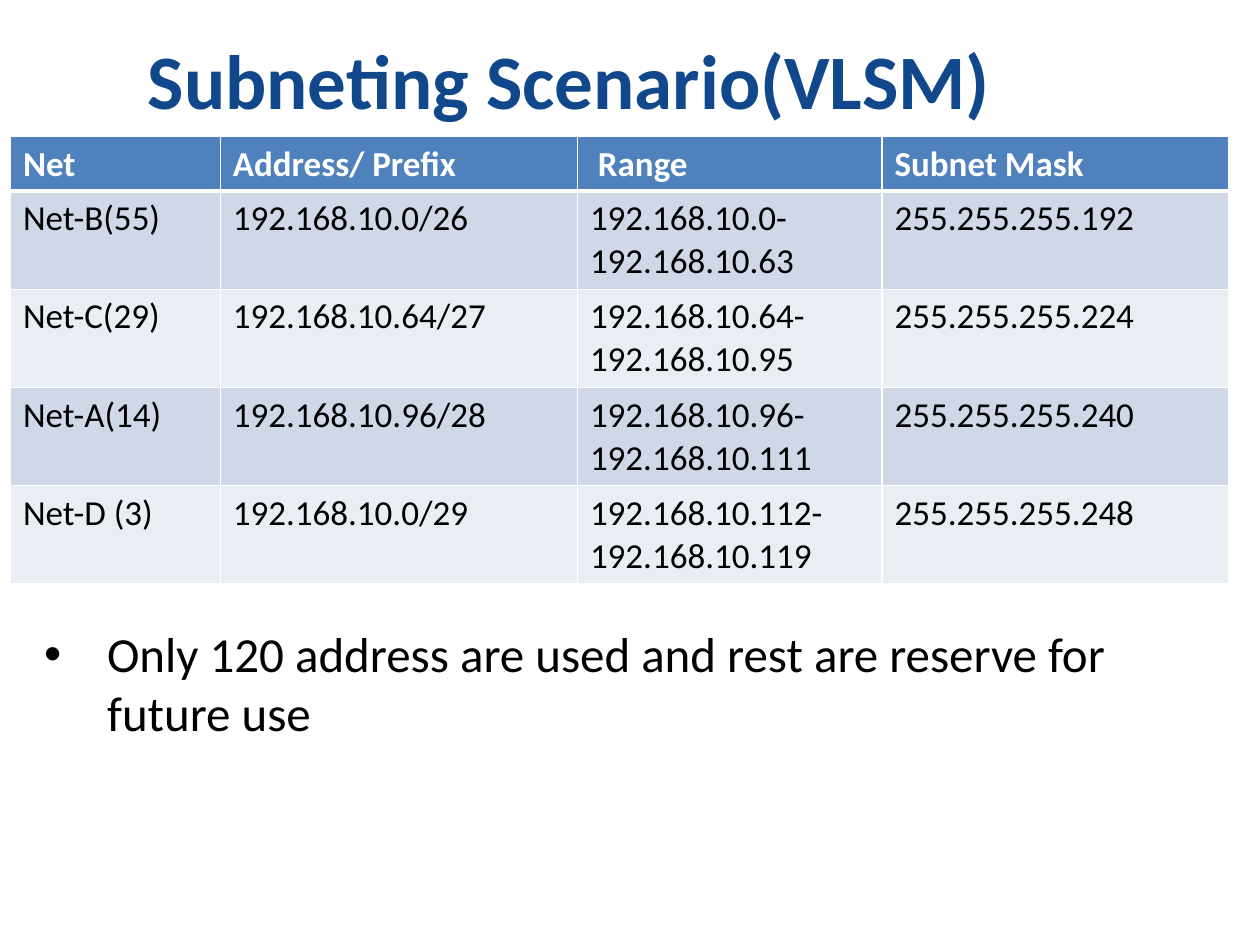
import pptx
import pptx.util
import pptx.dml.color
import pptx.enum.text
import pptx.oxml
import pptx.oxml.ns

Cm, Pt = pptx.util.Cm, pptx.util.Pt
PP_ALIGN = pptx.enum.text.PP_ALIGN
ANCHOR = pptx.enum.text.MSO_ANCHOR

# Content
TITLE = "Subneting Scenario(VLSM)"
HEADER = ["Net", "Address/ Prefix", " Range", "Subnet Mask"]
SUBNETS = [
    ["Net-B(55)", "192.168.10.0/26", "192.168.10.0-192.168.10.63", "255.255.255.192"],
    ["Net-C(29)", "192.168.10.64/27", "192.168.10.64-192.168.10.95", "255.255.255.224"],
    ["Net-A(14)", "192.168.10.96/28", "192.168.10.96-192.168.10.111", "255.255.255.240"],
    ["Net-D (3)", "192.168.10.0/29", "192.168.10.112-192.168.10.119", "255.255.255.248"],
]
NOTE = "Only 120 address are used and rest are reserve for future use"

# Format
COLORS = {"title": "11478B", "header": "4F81BD", "odd": "D0D8E8",
          "even": "E9EDF4", "white": "FFFFFF", "black": "000000"}
STYLES = {
    "title": ({"size": Pt(44), "bold": True}, "title"),
    "header": ({"size": Pt(20), "bold": True}, "white"),
    "body": ({"size": Pt(20), "bold": False}, "black"),
    "note": ({"size": Pt(28), "bold": False}, "black"),
}
COL_WIDTHS = [4.23, 7.2, 6.14, 6.99]
HEADER_HEIGHT, ROW_HEIGHT = 1.1, 1.98


def rgb(name):
    return pptx.dml.color.RGBColor.from_string(COLORS[name])


def write(tf, text, style):
    values, color = STYLES[style]
    p = tf.paragraphs[0]
    r = p.add_run()
    r.text = text
    r.font.name = "Calibri"
    for key, value in values.items():
        setattr(r.font, key, value)
    r.font.color.rgb = rgb(color)
    return p


def add_text(box, text, style, anchor):
    tf = slide.shapes.add_textbox(*[Cm(v) for v in box]).text_frame
    tf.word_wrap = True
    tf.vertical_anchor = anchor
    return write(tf, text, style)


def set_borders(cell, widths):
    tcPr = cell._tc.get_or_add_tcPr()
    for i, (side, width) in enumerate(widths.items()):
        tcPr.insert(i, pptx.oxml.parse_xml(
            f'<a:ln{side} {pptx.oxml.ns.nsdecls("a")} w="{Pt(width)}"><a:solidFill>'
            f'<a:srgbClr val="{COLORS["white"]}"/></a:solidFill></a:ln{side}>'))


prs = pptx.Presentation()
prs.slide_width, prs.slide_height = Cm(25.4), Cm(19.05)
slide = prs.slides.add_slide(prs.slide_layouts[6])

# Title
p = add_text((1.07, 0, 20.83, 3.18), TITLE, "title", ANCHOR.MIDDLE)
p.alignment = PP_ALIGN.CENTER

# Subnet table
rows = [HEADER] + SUBNETS
heights = [HEADER_HEIGHT] + [ROW_HEIGHT] * len(SUBNETS)
table = slide.shapes.add_table(len(rows), len(HEADER), Cm(0.21), Cm(2.75),
                               Cm(sum(COL_WIDTHS)), Cm(sum(heights))).table
for column, width in zip(table.columns, COL_WIDTHS):
    column.width = Cm(width)
for i, (texts, height) in enumerate(zip(rows, heights)):
    table.rows[i].height = Cm(height)
    fill = "header" if i == 0 else "odd" if i % 2 else "even"
    borders = {"L": 1, "R": 1, "T": 3 if i == 1 else 1, "B": 3 if i == 0 else 1}
    for j, text in enumerate(texts):
        cell = table.cell(i, j)
        cell.fill.solid()
        cell.fill.fore_color.rgb = rgb(fill)
        set_borders(cell, borders)
        write(cell.text_frame, text, "body" if i else "header")

# Bulleted note
p = add_text((0.64, 12.45, 24.13, 3.84), NOTE, "note", ANCHOR.TOP)
pPr = p._p.get_or_add_pPr()
pPr.set("marL", str(Cm(1.27)))
pPr.set("indent", str(-Cm(1.27)))
for tag in ('buFont typeface="Arial"', 'buChar char="•"'):
    pPr.append(pptx.oxml.parse_xml(f'<a:{tag} {pptx.oxml.ns.nsdecls("a")}/>'))

prs.save("out.pptx")
